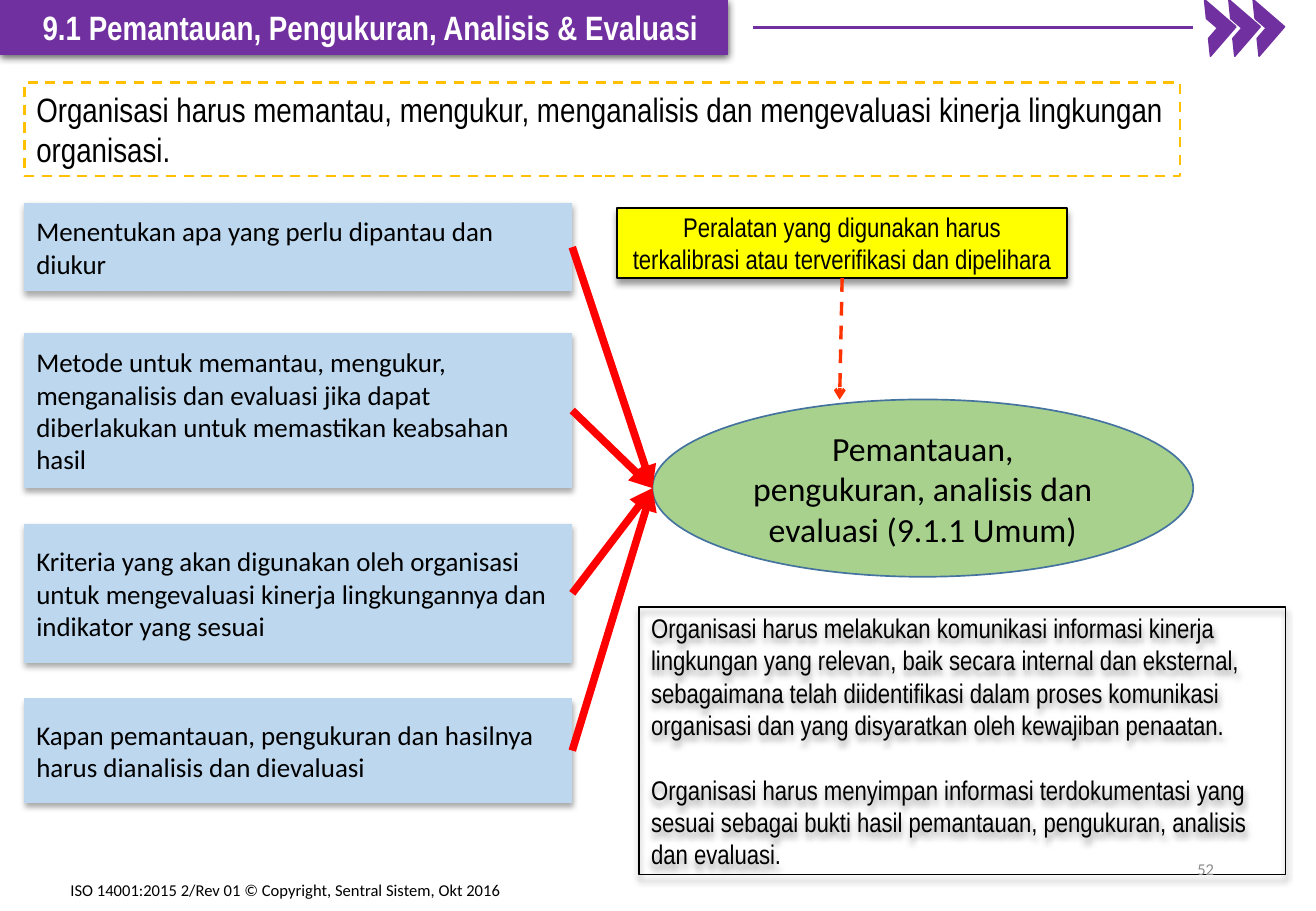
import pptx
import pptx.util
import pptx.oxml
import pptx.oxml.xmlchemy
import pptx.dml.color
import pptx.enum.dml
import pptx.enum.shapes
import pptx.enum.text
from dataclasses import dataclass
from pptx.oxml.ns import qn

Pt = pptx.util.Pt
Kind = pptx.enum.shapes.MSO_SHAPE
Dash = pptx.enum.dml.MSO_LINE
Align = pptx.enum.text.PP_ALIGN
Anchor = pptx.enum.text.MSO_ANCHOR
Node = pptx.oxml.xmlchemy.OxmlElement


@dataclass(frozen=True)
class Theme:
    """Colours, fonts and type sizes of the slide."""
    purple: str = "7030A0"
    white: str = "FFFFFF"
    black: str = "000000"
    gold: str = "FFC000"
    blue: str = "BDD7EE"
    green: str = "A9D18E"
    rim: str = "43739E"
    red: str = "FF0000"
    orange: str = "FF3300"
    yellow: str = "FFFF00"
    grey: str = "8C8C8C"
    narrow: str = "Arial Narrow"
    plain: str = "Calibri"
    large: float = 20
    body: float = 16
    small: float = 9.8


T = Theme()
STEPS = [
    (0, 52.6, "Menentukan apa yang perlu dipantau dan diukur"),
    (77, 92.2, "Metode untuk memantau, mengukur, menganalisis dan evaluasi "
     "jika dapat diberlakukan untuk memastikan keabsahan hasil"),
    (190.1, 82.8, "Kriteria yang akan digunakan oleh organisasi untuk "
     "mengevaluasi kinerja lingkungannya dan indikator yang sesuai"),
    (293.8, 61.9, "Kapan pemantauan, pengukuran dan hasilnya harus "
     "dianalisis dan dievaluasi"),
]
NOTES = [
    "Organisasi harus melakukan komunikasi informasi kinerja lingkungan yang "
    "relevan, baik secara internal dan eksternal, sebagaimana telah "
    "diidentifikasi dalam proses komunikasi organisasi dan yang disyaratkan "
    "oleh kewajiban penaatan.",
    "Organisasi harus menyimpan informasi terdokumentasi yang sesuai sebagai "
    "bukti hasil pemantauan, pengukuran, analisis dan evaluasi.",
]


def tint(code):
    """Turn a hex code into a colour."""
    return pptx.dml.color.RGBColor.from_string(code)


def write(shape, *texts, size=T.body, font=T.narrow, color=T.black, bold=False,
          align=Align.LEFT, anchor=Anchor.MIDDLE, left=7.2, gap=0):
    """Put paragraphs of text into a shape."""
    frame = shape.text_frame
    frame.word_wrap = True
    frame.vertical_anchor = anchor
    frame.margin_left = Pt(left)
    for num, text in enumerate(texts):
        para = frame.add_paragraph() if num else frame.paragraphs[0]
        para.alignment = align
        if num:
            para.space_before = Pt(gap)
        run = para.add_run()
        run.text = text
        run.font.size, run.font.name, run.font.bold = Pt(size), font, bold
        run.font.color.rgb = tint(color)


def shade(shape, alpha, blur, dist):
    """Give a shape a black shadow that falls straight down."""
    effect = shape._element.spPr.find(qn("a:effectLst"))
    effect.append(pptx.oxml.parse_xml(
        '<a:outerShdw xmlns:a="http://schemas.openxmlformats.org/drawingml/2006/main" '
        f'blurRad="{Pt(blur)}" dist="{Pt(dist)}" dir="5400000" algn="t" rotWithShape="0">'
        f'<a:srgbClr val="{T.black}"><a:alpha val="{alpha * 1000}"/></a:srgbClr>'
        '</a:outerShdw>'))


def draw(slide, kind, box, fill=None, line=None, width=1, dash=None, shadow=None):
    """Add a preset shape in the given box."""
    shape = slide.shapes.add_shape(kind, *map(Pt, box))
    shape.shadow.inherit = False
    if fill:
        shape.fill.solid()
        shape.fill.fore_color.rgb = tint(fill)
    else:
        shape.fill.background()
    if line:
        shape.line.color.rgb = tint(line)
        shape.line.width = Pt(width)
        shape.line.dash_style = dash
    else:
        shape.line.fill.background()
    if shadow:
        shade(shape, *shadow)
    return shape


def link(slide, start, end, color, width, head=None, dash=None):
    """Add a straight line with an optional arrowhead."""
    line = slide.shapes.add_connector(
        pptx.enum.shapes.MSO_CONNECTOR.STRAIGHT, *map(Pt, start + end))
    line.line.color.rgb = tint(color)
    line.line.width = Pt(width)
    line.line.dash_style = dash
    if head:
        tail = Node("a:tailEnd")
        tail.set("type", head)
        line._element.spPr.find(qn("a:ln")).append(tail)
    line._element.spPr.append(Node("a:effectLst"))
    return line


def header(slide, box):
    """Draw the title bar, the rule and the three chevrons."""
    x, y, w, h = box
    bar = draw(slide, Kind.RECTANGLE, (x, y, 431.3, h), T.purple,
               shadow=(63, 4.5, 1.5))
    write(bar, "9.1 Pemantauan, Pengukuran, Analisis & Evaluasi",
          size=T.large, color=T.white, bold=True, left=25.2)
    for num in range(3):
        mark = draw(slide, Kind.HALF_FRAME,
                    (x + w - 52 + 14.4 * num, y + 4.3, 23, 24.5),
                    T.purple, T.purple)
        mark.rotation = 130.8
    mid = y + h / 2
    link(slide, (x + 446.4, mid), (x + w - 49, mid), T.purple, 1.5)


def lead(slide, box):
    """Draw the dashed opening statement."""
    frame = draw(slide, Kind.RECTANGLE, box, line=T.gold, width=1.5, dash=Dash.DASH)
    write(frame, "Organisasi harus memantau, mengukur, menganalisis dan "
          "mengevaluasi kinerja lingkungan organisasi.",
          size=T.large, anchor=Anchor.TOP)


def flow(slide, box):
    """Draw the four steps, the hub and the arrows between them."""
    x, y, w, h = box
    wide, hub = 324.7, (x + w - 320.4, y + 116.6, 320.4, 105.1)
    cards = []
    for top, high, text in STEPS:
        card = draw(slide, Kind.FLOWCHART_PROCESS, (x, y + top, wide, high),
                    T.blue, shadow=(32, 3.5, 2.2))
        write(card, text, font=T.plain)
        cards.append(card)
    oval = draw(slide, Kind.OVAL, hub, T.green, T.rim)
    write(oval, "Pemantauan, pengukuran, analisis dan evaluasi (9.1.1 Umum)",
          size=T.large, font=T.plain, align=Align.CENTER)
    goal = (hub[0], hub[1] + hub[3] / 2)
    for card, (top, high, text) in zip(cards, STEPS):
        start = (x + wide, y + top + high / 2)
        link(slide, start, goal, T.red, 4.5, "triangle").begin_connect(card, 3)


def tools(slide, box):
    """Draw the equipment note and its dashed arrow."""
    x, y, w, h = box
    note = draw(slide, Kind.RECTANGLE, box, T.yellow, T.black, shadow=(40, 4, 3))
    write(note, "Peralatan yang digunakan harus terkalibrasi atau "
          "terverifikasi dan dipelihara", align=Align.CENTER)
    mid, low = x + w / 2, y + h
    arrow = link(slide, (mid, low), (mid - 1.5, low + 72), T.orange, 2,
                 "arrow", Dash.DASH)
    arrow.begin_connect(note, 2)


def notes(slide, box):
    """Draw the framed closing notes."""
    frame = draw(slide, Kind.RECTANGLE, box, line=T.black, shadow=(40, 4, 3))
    write(frame, *NOTES, gap=19.2)


def footer(slide, box):
    """Write the copyright line and the page number."""
    x, y, w, h = box
    line = slide.shapes.add_textbox(*map(Pt, (x, y + 20.2, 416.2, 13.7)))
    write(line, "ISO 14001:2015 2/Rev 01 © Copyright, Sentral Sistem, Okt 2016",
          size=T.small, font=T.plain)
    page = slide.shapes.add_textbox(*map(Pt, (x + w - 175.7, y, 175.7, h)))
    write(page, "52", size=T.small, font=T.plain, color=T.grey, align=Align.RIGHT)


def main():
    """Build the slide and save it."""
    deck = pptx.Presentation()
    deck.slide_width, deck.slide_height = Pt(779.76), Pt(540)
    slide = deck.slides.add_slide(deck.slide_layouts[6])
    header(slide, (0, 0, 756, 32.6))
    lead(slide, (14.4, 49, 684.7, 55.4))
    flow(slide, (14.4, 120.2, 692.6, 355.7))
    tools(slide, (365.8, 123.1, 266.4, 41.8))
    notes(slide, (378.7, 360, 383, 158.4))
    footer(slide, (34.6, 500.4, 691.9, 28.8))
    deck.save("out.pptx")


if __name__ == "__main__":
    main()
